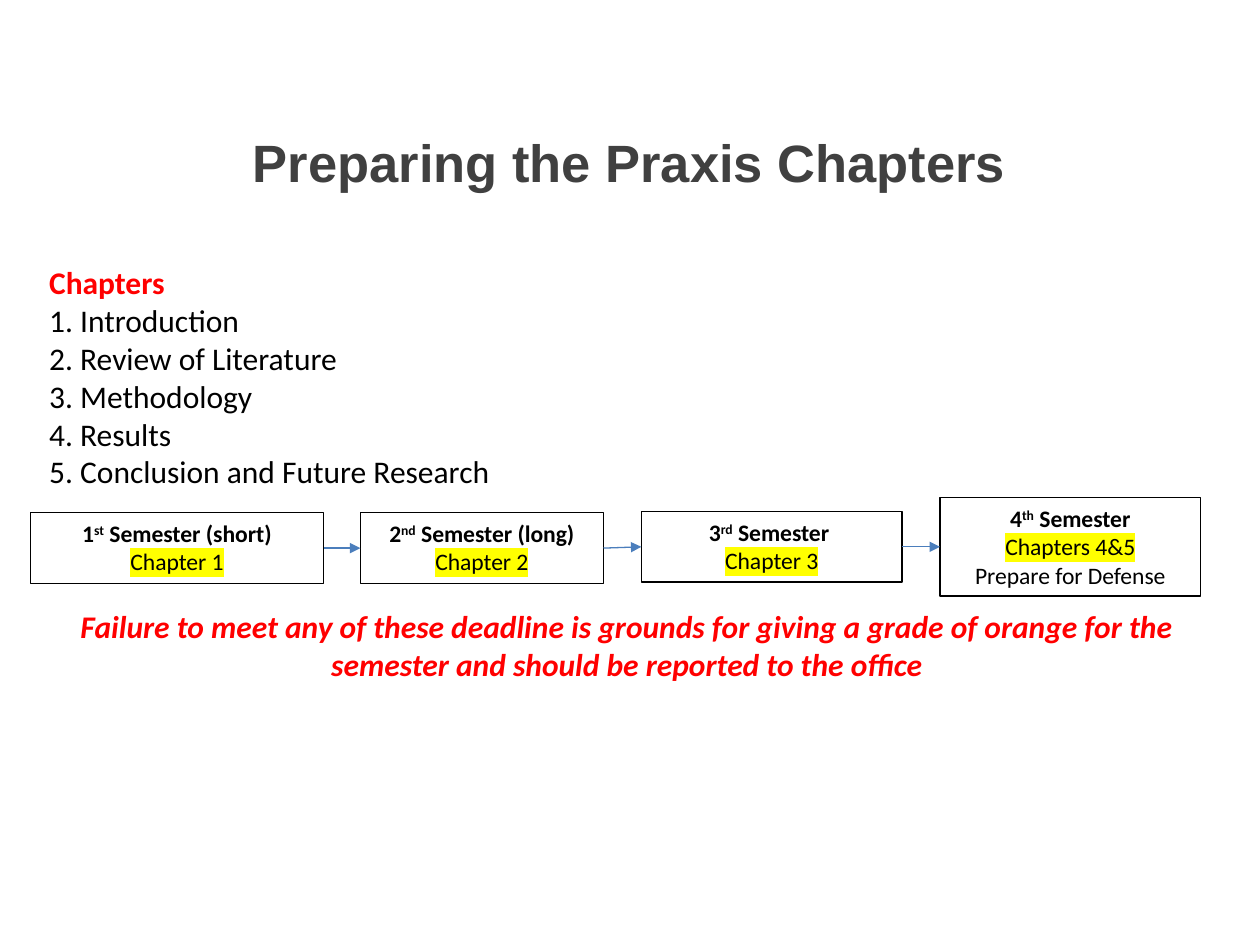
"""Build the slide on preparing the praxis chapters."""
from lxml import etree
from pptx import Presentation
from pptx.dml import color
from pptx.enum import shapes, text
from pptx.oxml import ns
from pptx.util import Inches, Pt

BLACK, RED, YELLOW = "000000", "FF0000", "FFFF00"
CHAPTERS = ["Introduction", "Review of Literature", "Methodology", "Results",
            "Conclusion and Future Research"]
# left, top, width, height, number, ordinal suffix, label, chapters, further lines
SEMESTERS = [
    (0.24, 4.07, 2.33, 0.56, "1", "st", " Semester (short)", "Chapter 1", []),
    (2.86, 4.07, 1.93, 0.56, "2", "nd", " Semester (long)", "Chapter 2", []),
    (5.09, 4.06, 2.07, 0.56, "3", "rd", " Semester ", "Chapter 3", []),
    (7.46, 3.95, 2.07, 0.78, "4", "th", " Semester", "Chapters 4&5",
     ["Prepare for Defense"]),
]


def rgb(value):
    """Return the colour for a hex string."""
    return color.RGBColor.from_string(value)


def add_run(paragraph, words, size, ink=BLACK, bold=False, italic=False, font="Calibri"):
    """Append a formatted run to a paragraph."""
    run = paragraph.add_run()
    run.text = words
    run.font.size = Pt(size)
    run.font.name = font
    run.font.bold = bold
    run.font.italic = italic
    run.font.color.rgb = rgb(ink)
    return run


def highlight(run, shade):
    """Mark a run with a highlight colour."""
    mark = etree.Element(ns.qn("a:highlight"))
    etree.SubElement(mark, ns.qn("a:srgbClr"), val=shade)
    run.font._element.find(ns.qn("a:solidFill")).addnext(mark)


def place(shape, left, top, width, height):
    """Move and size a shape in inches."""
    shape.left, shape.top = Inches(left), Inches(top)
    shape.width, shape.height = Inches(width), Inches(height)


def fill_title(title):
    """Write the slide title."""
    place(title, 0.69, 0.98, 8.61, 0.86)
    frame = title.text_frame
    frame.auto_size = text.MSO_AUTO_SIZE.NONE
    frame.vertical_anchor = text.MSO_ANCHOR.TOP
    heading = frame.paragraphs[0]
    heading.alignment = text.PP_ALIGN.CENTER
    add_run(heading, "Preparing the Praxis Chapters", 30, "404040", bold=True, font="Arial")


def add_list_line(paragraph, words, **style):
    """Write one unbulleted, flush-left line of the list."""
    paragraph.space_before = Pt(0)
    properties = paragraph._p.get_or_add_pPr()
    properties.set("marL", "0")
    properties.set("indent", "0")
    etree.SubElement(properties, ns.qn("a:buNone"))
    add_run(paragraph, words, 18, **style)


def fill_chapters(body):
    """Write the heading and the numbered chapters."""
    place(body, 0.29, 2.04, 4.8, 1.92)
    frame = body.text_frame
    frame.auto_size = text.MSO_AUTO_SIZE.SHAPE_TO_FIT_TEXT
    add_list_line(frame.paragraphs[0], "Chapters", ink=RED, bold=True)
    for number, chapter in enumerate(CHAPTERS, 1):
        add_list_line(frame.add_paragraph(), f"{number}. {chapter}")


def add_semester(slide, left, top, width, height, number, suffix, label, chapters, extras):
    """Draw one semester box and return it."""
    box = slide.shapes.add_shape(shapes.MSO_SHAPE.RECTANGLE, Inches(left), Inches(top),
                                 Inches(width), Inches(height))
    box.shadow.inherit = False
    box.fill.background()
    box.line.color.rgb = rgb(BLACK)
    box.line.width = Pt(0.75)
    frame = box.text_frame
    frame.word_wrap = True
    frame.auto_size = text.MSO_AUTO_SIZE.SHAPE_TO_FIT_TEXT
    frame.vertical_anchor = text.MSO_ANCHOR.TOP
    heading = frame.paragraphs[0]
    add_run(heading, number, 13.5, bold=True)
    ordinal = add_run(heading, suffix, 13.5, bold=True)
    ordinal.font._element.set("baseline", "30000")
    add_run(heading, label, 13.5, bold=True)
    highlight(add_run(frame.add_paragraph(), chapters, 13.5), YELLOW)
    for extra in extras:
        add_run(frame.add_paragraph(), extra, 13.5)
    for paragraph in frame.paragraphs:
        paragraph.alignment = text.PP_ALIGN.CENTER
    return box


def add_arrow(slide, earlier, later):
    """Join two semester boxes with an arrow."""
    arrow = slide.shapes.add_connector(shapes.MSO_CONNECTOR.STRAIGHT, 0, 0, 0, 0)
    arrow.begin_connect(earlier, 3)
    arrow.end_connect(later, 1)
    arrow.line.color.rgb = rgb("4B7EBC")
    arrow.line.width = Pt(0.75)
    etree.SubElement(arrow.line._get_or_add_ln(), ns.qn("a:tailEnd"), type="triangle")
    etree.SubElement(arrow._element.spPr, ns.qn("a:effectLst"))


def add_warning(slide):
    """Write the warning below the semesters."""
    warning = slide.shapes.add_textbox(Inches(0.29), Inches(4.77), Inches(9.37), Inches(0.71))
    frame = warning.text_frame
    frame.word_wrap = True
    frame.auto_size = text.MSO_AUTO_SIZE.SHAPE_TO_FIT_TEXT
    sentence = frame.paragraphs[0]
    sentence.alignment = text.PP_ALIGN.CENTER
    add_run(sentence, "Failure to meet any of these deadline is grounds for giving a grade of "
            "orange for the semester and should be reported to the office",
            18, RED, bold=True, italic=True)


def main():
    """Build and save the slide."""
    deck = Presentation()
    deck.slide_width, deck.slide_height = Inches(10), Inches(7.5)
    slide = deck.slides.add_slide(deck.slide_layouts[1])
    fill_title(slide.shapes.title)
    fill_chapters(slide.placeholders[1])
    boxes = [add_semester(slide, *semester) for semester in SEMESTERS]
    for earlier, later in zip(boxes, boxes[1:]):
        add_arrow(slide, earlier, later)
    add_warning(slide)
    deck.save("out.pptx")


if __name__ == "__main__":
    main()
